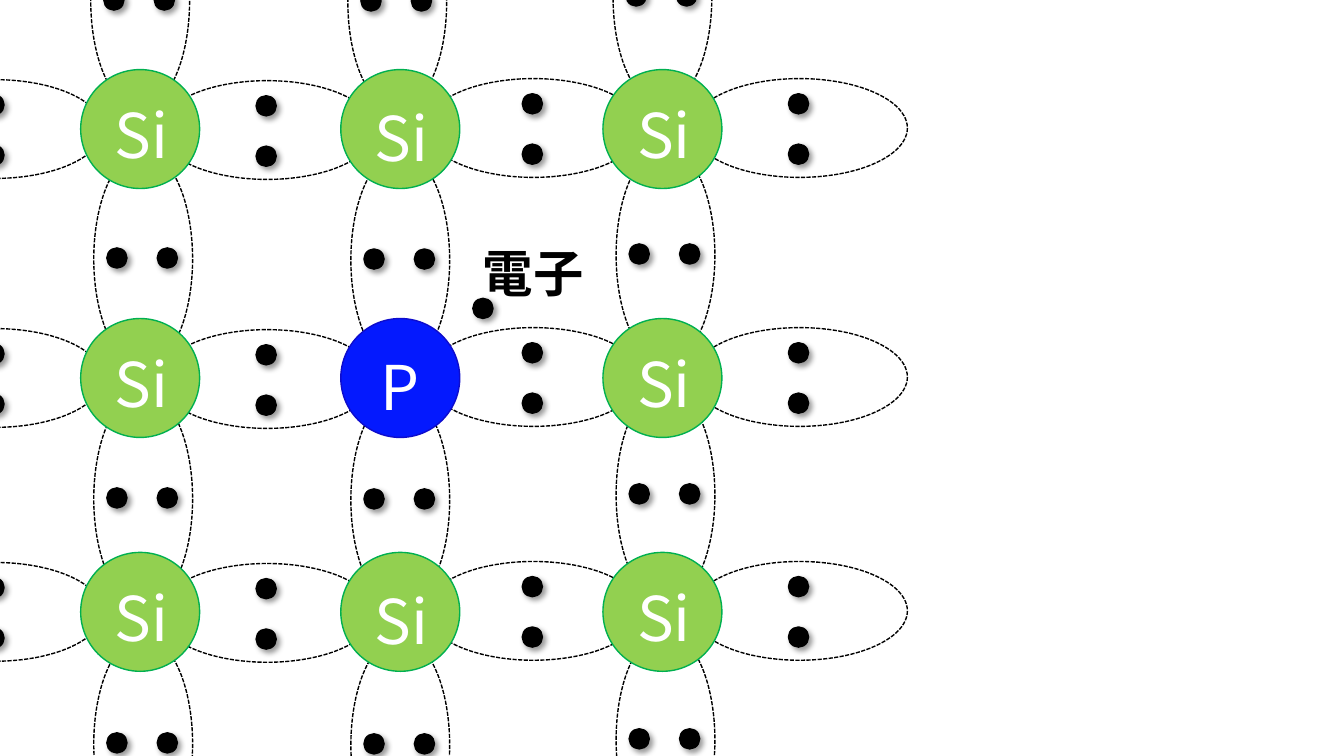
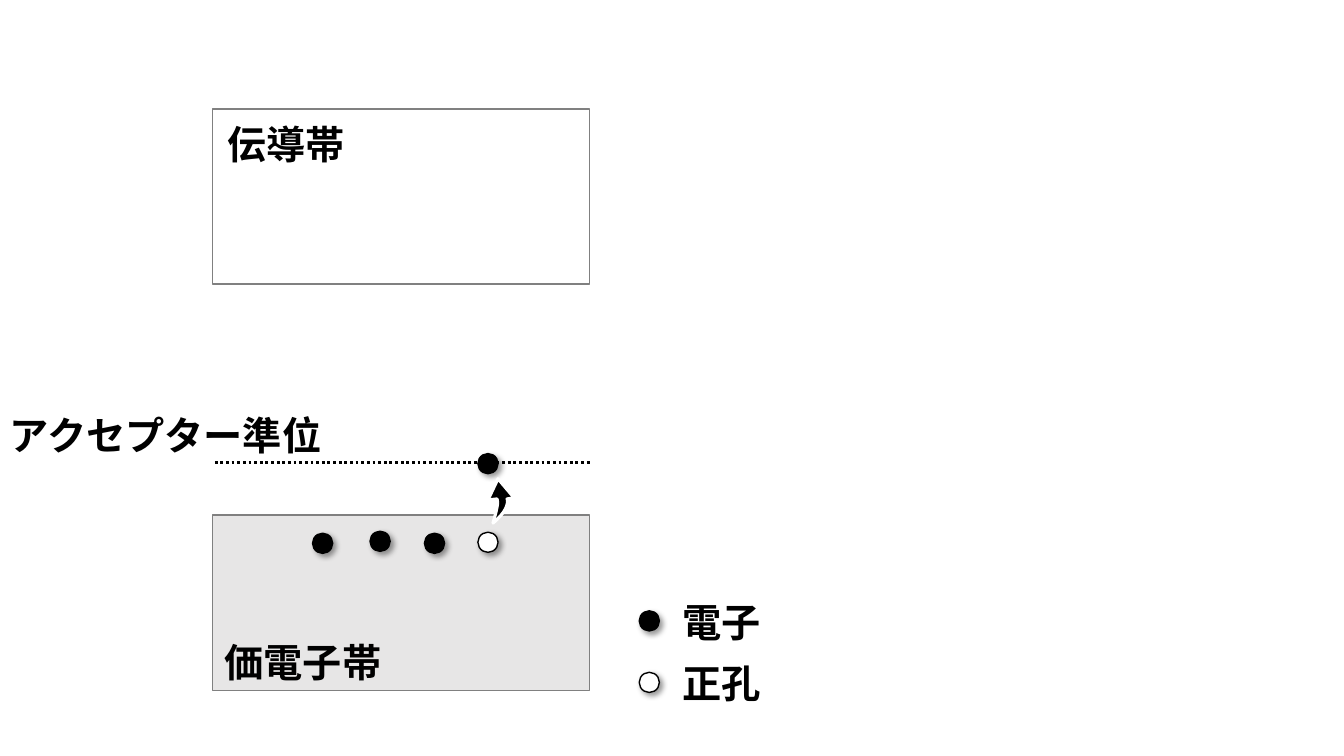
from itertools import product

from lxml import etree
from pptx import Presentation
from pptx import util as u
from pptx.dml.color import RGBColor
from pptx.enum import dml, shapes, text
from pptx.oxml.ns import qn

PX = 9144
BLACK, WHITE, GRAY, BAND = "000000", "FFFFFF", "808080", "E7E6E6"
GREEN, GREEN_EDGE, BLUE, BLUE_EDGE = "92D050", "00B050", "0419FE", "0E0CCC"


def color(value):
    return RGBColor.from_string(value)


def px(*lengths):
    return [u.Emu(length * PX) for length in lengths]


def curve(start, control_1, control_2, end, steps=12):
    points = []
    for step in range(1, steps + 1):
        t = step / steps
        weights = ((1 - t) ** 3, 3 * t * (1 - t) ** 2, 3 * t * t * (1 - t), t ** 3)
        points.append(tuple(
            round(sum(weight * value for weight, value in zip(weights, axis)), 2)
            for axis in zip(start, control_1, control_2, end)))
    return points


class Diagram:
    """Draws styled elements on the current slide, with lengths in px."""

    font = "Noto Sans CJK JP"
    dot_size = 20
    atom_size = 118
    bond_size = (214, 98)

    def __init__(self, width, height):
        self.presentation = Presentation()
        self.presentation.slide_width, self.presentation.slide_height = px(width, height)
        self.slide = None

    def new_slide(self):
        self.slide = self.presentation.slides.add_slide(self.presentation.slide_layouts[6])

    def paint(self, shape, fill, line, line_width=1):
        shape.shadow.inherit = False
        if fill:
            shape.fill.solid()
            shape.fill.fore_color.rgb = color(fill)
        else:
            shape.fill.background()
        shape.line.color.rgb = color(line)
        shape.line.width = u.Pt(line_width)
        return shape

    def ellipse(self, x, y, width, height, fill, line):
        shape = self.slide.shapes.add_shape(
            shapes.MSO_SHAPE.OVAL, *px(x - width // 2, y - height // 2, width, height))
        return self.paint(shape, fill, line)

    def band(self, x, y, width, height, fill):
        shape = self.slide.shapes.add_shape(
            shapes.MSO_SHAPE.RECTANGLE, *px(x, y, width, height))
        self.paint(shape, fill, GRAY)

    def dot(self, x, y, fill=BLACK):
        shape = self.ellipse(x, y, self.dot_size, self.dot_size, fill, BLACK)
        effects = shape._element.spPr.find(qn("a:effectLst"))
        shadow = etree.SubElement(
            effects, qn("a:outerShdw"), blurRad=str(u.Pt(4)), dist=str(u.Pt(3)),
            dir="2700000", algn="tl", rotWithShape="0")
        shade = etree.SubElement(shadow, qn("a:srgbClr"), val=BLACK)
        etree.SubElement(shade, qn("a:alpha"), val="40000")

    def bond(self, x, y, upright=False):
        shape = self.ellipse(x, y, *self.bond_size, None, BLACK)
        shape.line.dash_style = dml.MSO_LINE.SQUARE_DOT
        shape.line._ln.find(qn("a:prstDash")).set("val", "sysDash")
        shape.rotation = 90 if upright else 0
        for offset in (-24, 26):
            if upright:
                self.dot(x - offset, y - 1)
            else:
                self.dot(x - 1, y + offset)

    def label(self, words, x, y, width, height, size=28, ink=BLACK, bold=True):
        box = self.slide.shapes.add_textbox(*px(x, y, width, height))
        frame = box.text_frame
        frame.word_wrap = False
        frame.auto_size = text.MSO_AUTO_SIZE.SHAPE_TO_FIT_TEXT
        paragraph = frame.paragraphs[0]
        paragraph.text = words
        paragraph.font.name = self.font
        paragraph.font.size = u.Pt(size)
        paragraph.font.bold = bold
        paragraph.font.color.rgb = color(ink)
        properties = paragraph._p.pPr.find(qn("a:defRPr"))
        etree.SubElement(properties, qn("a:ea"), typeface=self.font)

    def atom(self, symbol, x, y, fill, line, label_width, label_drop):
        self.ellipse(x, y, self.atom_size, self.atom_size, fill, line)
        self.label(symbol, x + 2 - label_width // 2, y - 37 + label_drop,
                   label_width, 84, 44, WHITE, False)

    def level(self, x1, x2, y):
        connector = self.slide.shapes.add_connector(
            shapes.MSO_CONNECTOR.STRAIGHT, *px(x1, y, x2, y))
        connector.line.color.rgb = color(BLACK)
        connector.line.width = u.Pt(2)
        connector.line.dash_style = dml.MSO_LINE.ROUND_DOT
        etree.SubElement(connector._element.spPr, qn("a:effectLst"))

    def outline(self, points, fill, line, line_width):
        start, *rest = [px(*point) for point in points]
        builder = self.slide.shapes.build_freeform(*start, scale=1.0)
        builder.add_line_segments(rest, close=True)
        self.paint(builder.convert_to_shape(), fill, line, line_width)


def draw_lattice(diagram):
    diagram.new_slide()
    atom_rows = (128, 375, 607)
    atom_columns = (139, 397, 657)
    for y, (x, shift) in product(atom_rows, ((-5, 0), (265, 1), (529, -1), (793, -1))):
        diagram.bond(x, y + shift)
    for (y, slide_left), (x, shift) in product(
            ((1, 3), (257, 0), (495, 0), (738, 0)), ((142, 0), (397, 1), (660, -4))):
        diagram.bond(x - slide_left, y + shift, upright=True)
    for y, x in product(atom_rows, atom_columns):
        drop = 3 if x == atom_columns[1] else 0
        if (x, y) == (atom_columns[1], atom_rows[1]):
            diagram.atom("P", x, y, BLUE, BLUE_EDGE, 63, drop)
        else:
            diagram.atom("Si", x, y, GREEN, GREEN_EDGE, 75, drop)
    diagram.label("電子", 469, 235, 121, 71, size=36)
    diagram.dot(479, 306)


def draw_bands(diagram):
    diagram.new_slide()
    diagram.band(211, 511, 374, 174, BAND)
    diagram.band(211, 108, 374, 174, WHITE)
    diagram.level(213, 585, 459)
    for x, y in ((320, 539), (377, 537), (431, 539), (484, 460)):
        diagram.dot(x, y)
    diagram.dot(484, 538, WHITE)
    tail = (489, 519)
    diagram.outline(
        [tail, *curve(tail, (494, 501), (494, 499), (493, 495)),
         (484, 496), (494, 475), (510, 494), (503, 495),
         *curve((503, 495), (503, 495), (507, 504), tail)],
        BLACK, WHITE, 2.25)
    for words, x, y, width in (("伝導帯", 216, 114, 138), ("アクセプター準位", 0, 403, 334),
                               ("価電子帯", 213, 628, 177)):
        diagram.label(words, x, y, width, 57)
    for row, (words, fill) in enumerate((("電子", BLACK), ("正孔", WHITE))):
        diagram.dot(644, 616 + 61 * row, fill)
        diagram.label(words, 667, 589 + 60 * row, 99, 57)


def main():
    diagram = Diagram(1333, 750)
    draw_lattice(diagram)
    draw_bands(diagram)
    diagram.presentation.save("out.pptx")


if __name__ == "__main__":
    main()
